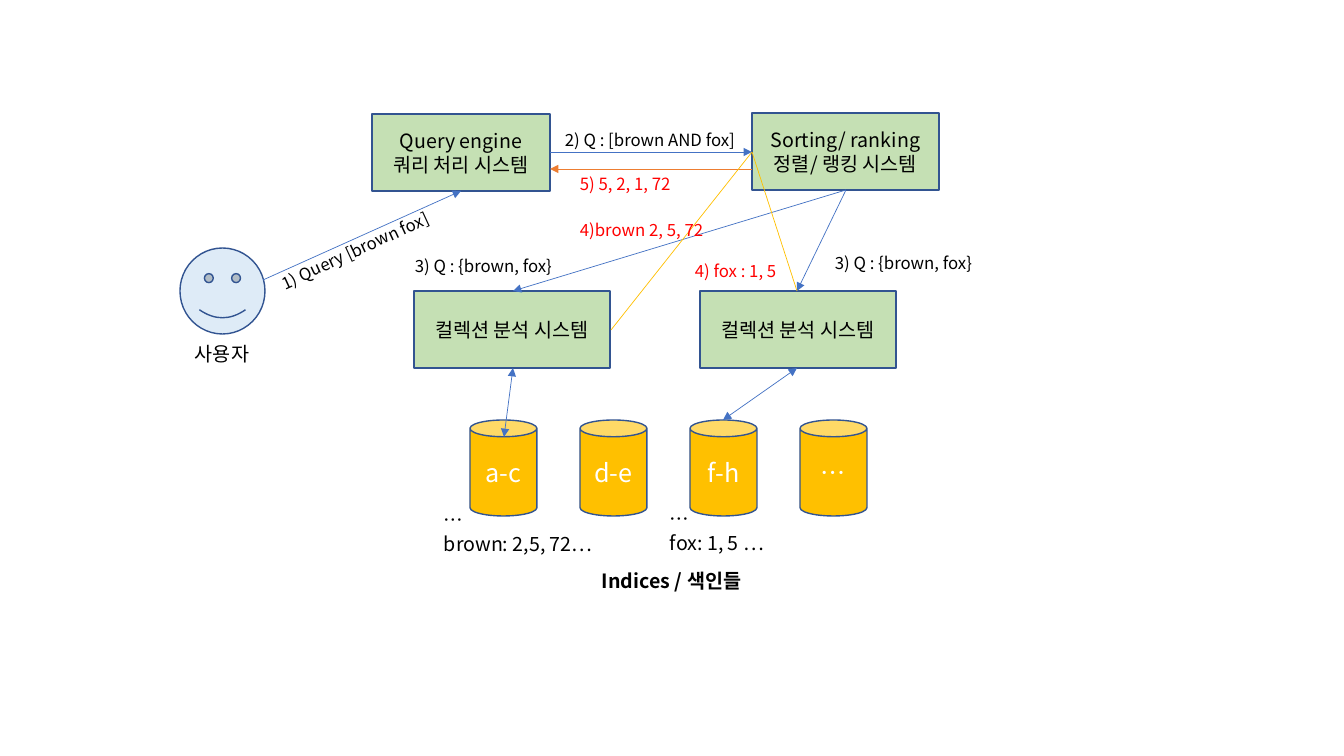
from lxml import etree
from pptx import Presentation
from pptx.dml.color import RGBColor
from pptx.enum.shapes import MSO_CONNECTOR, MSO_SHAPE
from pptx.enum.text import MSO_ANCHOR, PP_ALIGN
from pptx.oxml.ns import qn
from pptx.util import Emu, Pt

STRAIGHT = MSO_CONNECTOR.STRAIGHT
RECT, CAN, SMILEY = MSO_SHAPE.RECTANGLE, MSO_SHAPE.CAN, MSO_SHAPE.SMILEY_FACE
MIDDLE, TOP = MSO_ANCHOR.MIDDLE, MSO_ANCHOR.TOP
CENTER, LEFT = PP_ALIGN.CENTER, PP_ALIGN.LEFT
BLACK = RGBColor(0x00, 0x00, 0x00)
WHITE = RGBColor(0xFF, 0xFF, 0xFF)
RED = RGBColor(0xFF, 0x00, 0x00)
BLUE = RGBColor(0x44, 0x72, 0xC4)
ORANGE = RGBColor(0xED, 0x7D, 0x31)
AMBER = RGBColor(0xFF, 0xC0, 0x00)
NAVY = RGBColor(0x32, 0x54, 0x91)
GREEN = RGBColor(0xC5, 0xE0, 0xB4)
PALE_BLUE = RGBColor(0xDE, 0xEB, 0xF7)


def px(length):
    return Emu(round(length * 914400 / 100.8))


class Diagram:
    """Draws styled elements on one slide, measured in pixels."""

    font = "Noto Sans CJK KR"

    def __init__(self, slide):
        self.shapes = slide.shapes

    def add_lines(self, frame, lines, size, color, align, anchor, bold=False):
        frame.word_wrap = True
        frame.vertical_anchor = anchor
        for i, line in enumerate(lines):
            paragraph = frame.add_paragraph() if i else frame.paragraphs[0]
            paragraph.alignment = align
            run = paragraph.add_run()
            run.text = line
            run.font.size = Pt(size)
            run.font.bold = bold
            run.font.color.rgb = color
            run.font.name = self.font
            east_asian = etree.SubElement(run.font._element, qn("a:ea"))
            east_asian.set("typeface", self.font)

    def node(self, kind, box, fill, lines=(), size=14, color=BLACK):
        shape = self.shapes.add_shape(kind, *map(px, box))
        shape.shadow.inherit = False
        shape.fill.solid()
        shape.fill.fore_color.rgb = fill
        shape.line.color.rgb = NAVY
        shape.line.width = Pt(1)
        self.add_lines(shape.text_frame, lines, size, color, CENTER, MIDDLE)

    def label(self, box, lines, size=12, color=BLACK, bold=False, rotation=0):
        shape = self.shapes.add_textbox(*map(px, box))
        shape.rotation = rotation
        self.add_lines(shape.text_frame, lines, size, color, LEFT, TOP, bold)

    def link(self, start, end, color=BLUE, arrows=("tailEnd",)):
        connector = self.shapes.add_connector(STRAIGHT, *map(px, start + end))
        connector.line.color.rgb = color
        connector.line.width = Pt(0.5)
        outline = connector.line._get_or_add_ln()
        for arrow in arrows:
            etree.SubElement(outline, qn("a:" + arrow)).set("type", "triangle")
        etree.SubElement(connector._element.spPr, qn("a:effectLst"))


presentation = Presentation()
presentation.slide_width, presentation.slide_height = px(1344), px(756)
diagram = Diagram(presentation.slides.add_slide(presentation.slide_layouts[6]))

diagram.node(SMILEY, (180, 248, 85, 86), PALE_BLUE)
diagram.node(RECT, (372, 114, 178, 77), GREEN, ["Query engine", "쿼리 처리 시스템"])
diagram.node(RECT, (752, 113, 187, 77), GREEN, ["Sorting/ ranking", "정렬/ 랭킹 시스템"])
for left in (414, 700):
    diagram.node(RECT, (left, 291, 196, 77), GREEN, ["컬렉션 분석 시스템"])
for i, index_range in enumerate(("a-c", "d-e", "f-h", "…")):
    diagram.node(CAN, (470 + 110 * i, 420, 67, 96), AMBER, [index_range], 18, WHITE)

query_bottom, ranking_left, ranking_bottom = (461, 191), (752, 152), (846, 190)
first_top, first_bottom, first_right = (513, 291), (513, 368), (611, 330)
second_top, second_bottom = (797, 291), (797, 368)
BOTH_ENDS = ("headEnd", "tailEnd")
diagram.link((550, 152), ranking_left)
diagram.link((752, 169), (550, 169), ORANGE)
for collection_top in (second_top, first_top):
    diagram.link(ranking_bottom, collection_top)
diagram.link(first_bottom, (504, 437), arrows=BOTH_ENDS)
diagram.link(second_bottom, (723, 420), arrows=BOTH_ENDS)
for answer_end in (first_right, second_top):
    diagram.link(ranking_left, answer_end, AMBER, ())
diagram.link((263, 280), query_bottom)

diagram.label((261, 215, 277, 30), ["1) Query [brown fox]"], rotation=335.2)
for left, top, message, color in (
    (555, 125, "2) Q : [brown AND fox]", BLACK),
    (405, 251, "3) Q : {brown, fox}", BLACK),
    (825, 248, "3) Q : {brown, fox}", BLACK),
    (685, 256, "4) fox : 1, 5", RED),
    (570, 169, "5) 5, 2, 1, 72", RED),
    (570, 215, "4)brown 2, 5, 72", RED),
):
    diagram.label((left, top, 277, 30), [message], color=color)
diagram.label((434, 503, 196, 57), ["…", "brown: 2,5, 72…"], 14)
diagram.label((660, 502, 196, 57), ["…", "fox: 1, 5 …"], 14)
diagram.label((592, 564, 196, 34), ["Indices / 색인들"], 14, bold=True)
diagram.label((185, 337, 85, 34), ["사용자"], 14)

presentation.save("out.pptx")
